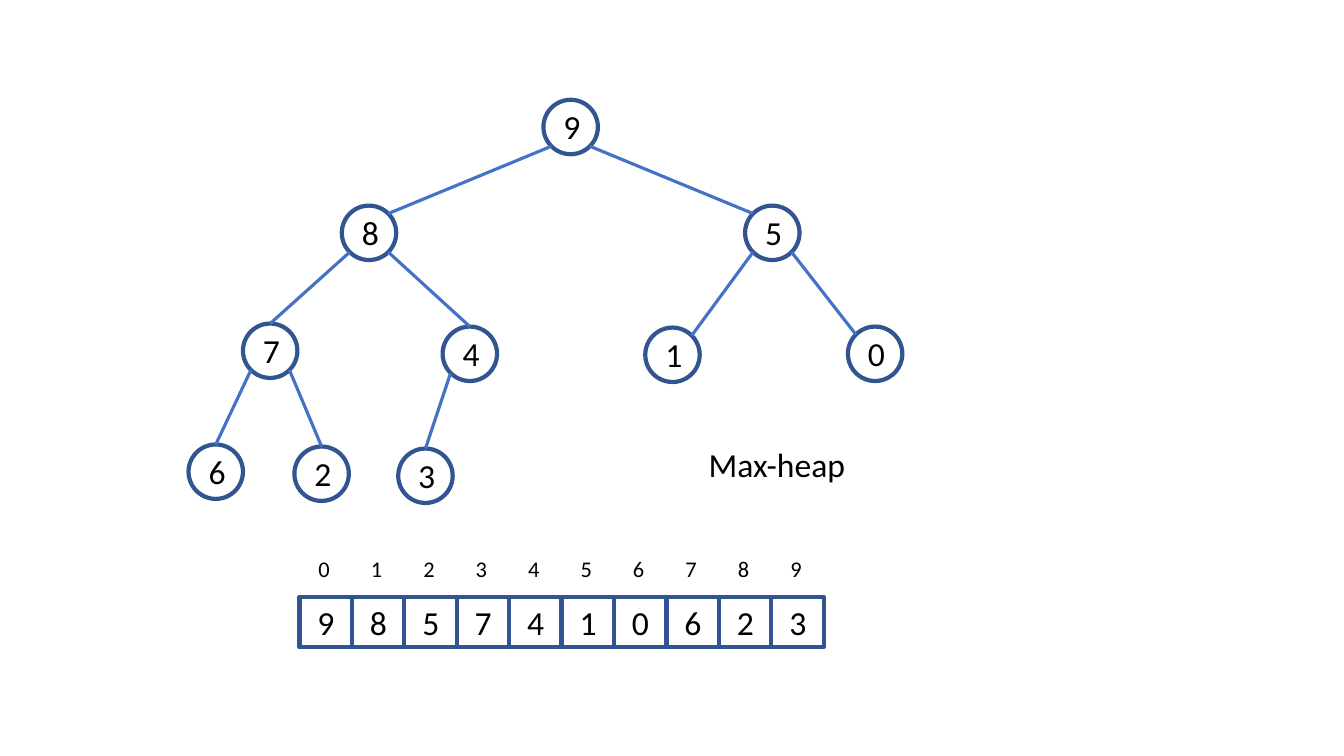
from math import sqrt

from lxml import etree
from pptx import Presentation
from pptx.dml.color import RGBColor
from pptx.enum.shapes import MSO_CONNECTOR, MSO_SHAPE
from pptx.enum.text import MSO_AUTO_SIZE, PP_ALIGN
from pptx.oxml.ns import qn
from pptx.util import Inches, Pt

OVAL = MSO_SHAPE.OVAL
RECTANGLE = MSO_SHAPE.RECTANGLE
STRAIGHT = MSO_CONNECTOR.STRAIGHT
GROW = MSO_AUTO_SIZE.SHAPE_TO_FIT_TEXT
LEFT, CENTER = PP_ALIGN.LEFT, PP_ALIGN.CENTER

COLORS = {"outline": "325491", "edge": "4472C4", "text": "000000"}

HEAP = [9, 8, 5, 7, 4, 1, 0, 6, 2, 3]
# Left and top of each node, in heap order
NODES = [(5.39, 0.99), (3.39, 2.04), (7.39, 2.04), (2.41, 3.21), (4.39, 3.24),
         (6.4, 3.25), (8.41, 3.24), (1.87, 4.41), (2.92, 4.43), (3.95, 4.45)]
CORNER_CHILDREN = {1, 2, 5, 6}  # the other children are joined at their top
NODE_SIZE = 0.54
DIGIT_WIDTH, DIGIT_HEIGHT = 0.33, 0.5
ARRAY_LEFT, ARRAY_TOP = 2.97, 5.92
CELL_WIDTH, CELL_HEIGHT = 0.52, 0.5
INDEX_TOP, INDEX_HEIGHT = 5.46, 0.37


class HeapSlide:
    """The current slide and the style of its elements."""

    font = "Calibri"
    outline_width = Pt(3)
    edge_width = Pt(2.25)

    def __init__(self, slide):
        self.shapes = slide.shapes

    def text(self, words, left, top, width, height, size=24, align=LEFT):
        box = self.shapes.add_textbox(
            Inches(left), Inches(top), Inches(width), Inches(height))
        frame = box.text_frame
        frame.word_wrap = True
        frame.auto_size = GROW
        paragraph = frame.paragraphs[0]
        paragraph.alignment = align
        run = paragraph.add_run()
        run.text = str(words)
        run.font.name = self.font
        run.font.size = Pt(size)
        run.font.color.rgb = RGBColor.from_string(COLORS["text"])

    def outline(self, kind, left, top, width, height):
        shape = self.shapes.add_shape(
            kind, Inches(left), Inches(top), Inches(width), Inches(height))
        shape.shadow.inherit = False
        shape.fill.background()
        shape.line.color.rgb = RGBColor.from_string(COLORS["outline"])
        shape.line.width = self.outline_width

    def node(self, value, left, top):
        self.text(value, left + 0.1, top + 0.01, DIGIT_WIDTH, DIGIT_HEIGHT)
        self.outline(OVAL, left, top, NODE_SIZE, NODE_SIZE)

    def cell(self, value, left, top):
        self.text(value, left + 0.08, top, DIGIT_WIDTH, DIGIT_HEIGHT)
        self.outline(RECTANGLE, left, top, CELL_WIDTH, CELL_HEIGHT)

    def edge(self, start, end):
        connector = self.shapes.add_connector(
            STRAIGHT, *(Inches(value) for value in (*start, *end)))
        connector.line.color.rgb = RGBColor.from_string(COLORS["edge"])
        connector.line.width = self.edge_width
        properties = connector._element.find(qn("p:spPr"))
        etree.SubElement(properties, qn("a:effectLst"))


def edge_ends(child):
    """Return where the edge leaves the parent and meets the child."""
    radius = NODE_SIZE / 2
    diagonal = radius / sqrt(2)
    side = -1 if child % 2 else 1
    parent_x, parent_y = (value + radius for value in NODES[(child - 1) // 2])
    child_x, child_y = (value + radius for value in NODES[child])
    start = (parent_x + side * diagonal, parent_y + diagonal)
    if child in CORNER_CHILDREN:
        return start, (child_x - side * diagonal, child_y - diagonal)
    return start, (child_x, child_y - radius)


def main():
    presentation = Presentation()
    presentation.slide_width = Inches(13.33)
    presentation.slide_height = Inches(7.5)
    blank_layout = presentation.slide_layouts[6]
    heap_slide = HeapSlide(presentation.slides.add_slide(blank_layout))

    # Tree
    for value, (left, top) in zip(HEAP, NODES):
        heap_slide.node(value, left, top)
    for child in range(1, len(HEAP)):
        heap_slide.edge(*edge_ends(child))

    # Array with its indices
    for index, value in enumerate(HEAP):
        left = ARRAY_LEFT + index * CELL_WIDTH
        heap_slide.cell(value, left, ARRAY_TOP)
        heap_slide.text(index, left + 0.09, INDEX_TOP,
                        DIGIT_WIDTH, INDEX_HEIGHT, size=16)

    # Caption
    heap_slide.text("Max-heap", 6.9, 4.35, 1.61, 0.5, align=CENTER)

    presentation.save("out.pptx")


if __name__ == "__main__":
    main()
